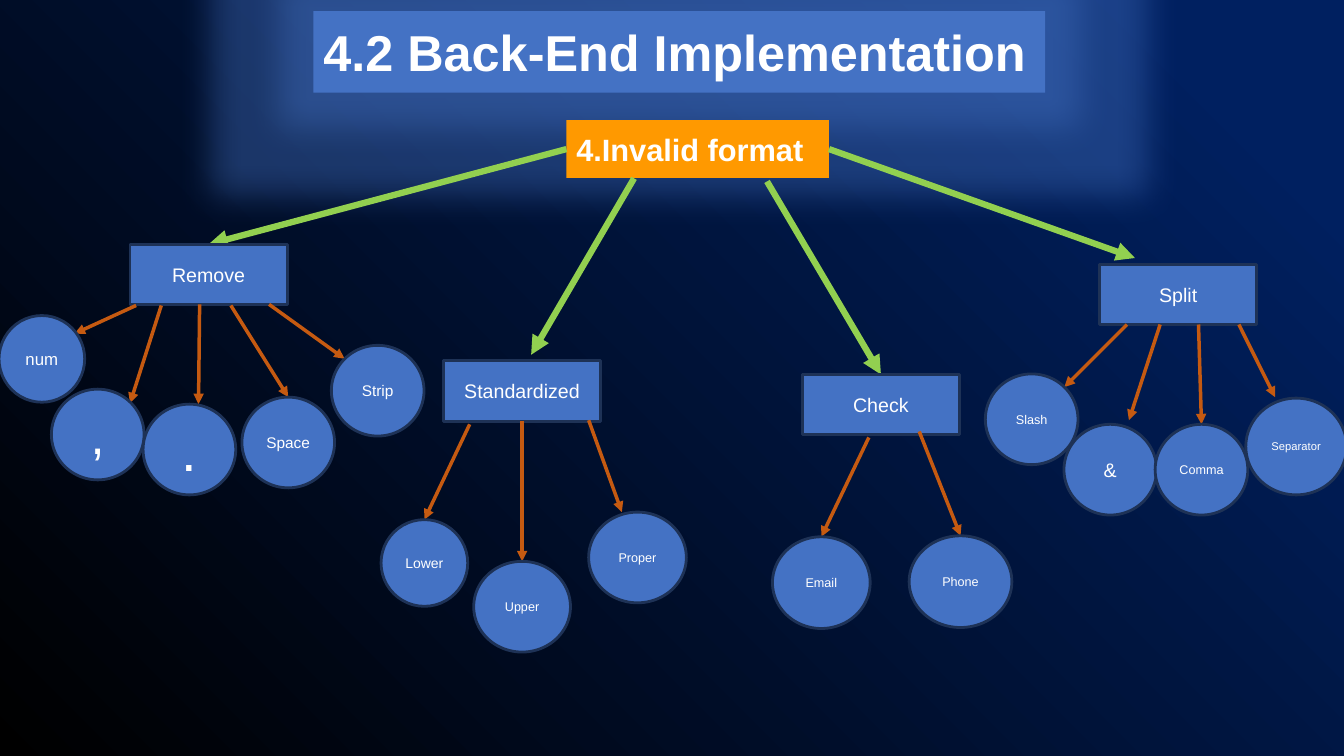
"""Build the back-end implementation slide: a tree of invalid-format fixes."""
from dataclasses import dataclass

from lxml import etree
from pptx import Presentation
from pptx.dml.color import RGBColor
from pptx.enum import shapes, text
from pptx.oxml import ns, parse_xml
from pptx.util import Pt

BLACK = RGBColor(0x00, 0x00, 0x00)
NAVY = RGBColor(0x00, 0x20, 0x60)
BLUE = RGBColor(0x44, 0x72, 0xC4)
OUTLINE = RGBColor(0x1E, 0x32, 0x56)
ORANGE = RGBColor(0xFF, 0x99, 0x00)
GREEN = RGBColor(0x92, 0xD0, 0x50)
RUST = RGBColor(0xC5, 0x5A, 0x11)
WHITE = RGBColor(0xFF, 0xFF, 0xFF)

FONT = "Arial"
INSET = 7.2
TOPIC_SIZE = (112.3, 43.2)
CIRCLE_SIZE = (66.2, 64.8)
SNAP = 1.5
RECTANGLE = shapes.MSO_SHAPE.RECTANGLE
OVAL = shapes.MSO_SHAPE.OVAL


@dataclass
class Caption:
    label: str
    left: float
    top: float
    width: float
    height: float
    font_size: float
    fill: RGBColor


@dataclass
class Node:
    label: str
    left: float
    top: float
    font_size: float
    start: tuple[float, float]
    end: tuple[float, float]
    size: tuple[float, float] = CIRCLE_SIZE
    children: tuple["Node", ...] = ()


TITLE = Caption("4.2 Back-End Implementation", 223.9, 7.9, 522.7, 58.3, 36, BLUE)
ROOT = Caption("4.Invalid format", 404.6, 85.9, 187.6, 41.2, 22, ORANGE)

TOPICS = (
    Node("Remove", 92.9, 174.5, 14, (404.6, 106.5), (149, 174.5), TOPIC_SIZE, (
        Node(",", 36.7, 278, 36, (115.2, 218.2), (92.9, 288)),
        Node(".", 102.2, 288.7, 40, (142.6, 217.4), (141.8, 288.7)),
        Node("Space", 172.8, 283.7, 11, (164.9, 218.2), (205.9, 283.7)),
        Node("Strip", 236.7, 246.7, 11, (192.2, 217.4), (246.2, 256.3)),
        Node("num", -0.7, 225.4, 12, (97.2, 218.2), (53.3, 238.3), (61.2, 61.9)),
    )),
    Node("Standardized", 316.8, 257.8, 14, (452.9, 127.4), (379.4, 253.4), TOPIC_SIZE, (
        Node("Lower", 272.2, 371.2, 10, (335.5, 303.1), (303.1, 371.2), (61.9, 61.9)),
        Node("Upper", 338.4, 401, 9, (373, 301), (373, 401), (69.1, 64.8)),
        Node("Proper", 420.5, 365.8, 9, (420.5, 300.2), (444.2, 365.8), (69.8, 64.8)),
    )),
    Node("Check", 573.1, 267.5, 14, (547.9, 129.6), (629.3, 267.5), TOPIC_SIZE, (
        Node("Email", 551.8, 383.4, 9, (620.6, 312.5), (586.8, 383.4), (69.8, 65.5)),
        Node("Phone", 649.4, 382.7, 9, (656.6, 308.2), (686, 382.7), (73.4, 65.5)),
    )),
    Node("Split", 785.5, 188.9, 14, (592.2, 106.5), (810.7, 184.3), TOPIC_SIZE, (
        Node("Slash", 703.8, 267.1, 9, (805, 231.8), (760.3, 276.5)),
        Node("&", 760, 303.1, 14, (828.7, 231.8), (806.4, 300.2)),
        Node("Comma", 825.1, 303.1, 9, (856.1, 231.8), (858.2, 303.1)),
        Node("Separator", 889.9, 284.4, 8, (884.9, 231.8), (910.8, 283.7), (72, 69.1)),
    )),
)


def paint_background(page) -> None:
    """Fill the page with a gradient spreading from its lower left corner."""
    fill = page.background.fill
    fill.gradient()
    for stop, color, position in zip(fill.gradient_stops, (BLACK, NAVY), (0, 0.9)):
        stop.color.rgb = color
        stop.position = position
    linear = page.element.find(".//" + ns.qn("a:lin"))
    linear.getparent().replace(linear, parse_xml(
        f'<a:path {ns.nsdecls("a")} path="circle">'
        '<a:fillToRect t="100000" r="100000"/></a:path>'))


def add_label(shape, label: str, font_size: float) -> None:
    """Write one white line of text into a shape."""
    para = shape.text_frame.paragraphs[0]
    para.text = label
    font = para.runs[0].font
    font.name = FONT
    font.size = Pt(font_size)
    font.color.rgb = WHITE


def draw_caption(page, caption: Caption):
    """Draw a filled box with a bold, left-aligned caption."""
    box = page.shapes.add_shape(RECTANGLE, Pt(caption.left), Pt(caption.top),
                                Pt(caption.width), Pt(caption.height))
    box.shadow.inherit = False
    box.fill.solid()
    box.fill.fore_color.rgb = caption.fill
    box.line.fill.background()
    add_label(box, caption.label, caption.font_size)
    frame = box.text_frame
    frame.margin_left = frame.margin_right = Pt(INSET)
    frame.margin_top = frame.margin_bottom = Pt(INSET)
    frame.word_wrap = True
    frame.auto_size = text.MSO_AUTO_SIZE.SHAPE_TO_FIT_TEXT
    frame.vertical_anchor = text.MSO_ANCHOR.TOP
    frame.paragraphs[0].alignment = text.PP_ALIGN.LEFT
    frame.paragraphs[0].runs[0].font.bold = True
    return box


def add_glow(box, radius: float) -> None:
    """Surround a box with a translucent blue glow."""
    effects = box.element.spPr.find(ns.qn("a:effectLst"))
    effects.append(parse_xml(
        f'<a:glow {ns.nsdecls("a")} rad="{Pt(radius)}"><a:srgbClr val="{BLUE}">'
        '<a:alpha val="40000"/></a:srgbClr></a:glow>'))


def draw_arrow(page, node: Node, color: RGBColor, width: float):
    """Draw the arrow that leads to a node."""
    arrow = page.shapes.add_connector(shapes.MSO_CONNECTOR.STRAIGHT,
                                      *map(Pt, node.start + node.end))
    arrow.line.color.rgb = color
    arrow.line.width = Pt(width)
    line = arrow.line._get_or_add_ln()
    etree.SubElement(line, ns.qn("a:tailEnd"), type="triangle")
    etree.SubElement(arrow.element.spPr, ns.qn("a:effectLst"))
    return arrow


def side_at(shape, point: tuple[float, float]) -> int | None:
    """Return the connection site of a shape that lies at a point."""
    center = shape.left + shape.width / 2
    middle = shape.top + shape.height / 2
    sites = ((center, shape.top), (shape.left, middle),
             (center, shape.top + shape.height), (shape.left + shape.width, middle))
    for index, (x, y) in enumerate(sites):
        if max(abs(x - Pt(point[0])), abs(y - Pt(point[1]))) <= Pt(SNAP):
            return index
    return None


def draw_node(page, parent, node: Node) -> None:
    """Draw a node with its arrow, then everything below it."""
    is_topic = bool(node.children)
    arrow = draw_arrow(page, node, *((GREEN, 4.5) if is_topic else (RUST, 2.5)))
    shape = page.shapes.add_shape(RECTANGLE if is_topic else OVAL,
                                  Pt(node.left), Pt(node.top), *map(Pt, node.size))
    shape.shadow.inherit = False
    shape.fill.solid()
    shape.fill.fore_color.rgb = BLUE
    shape.line.color.rgb = OUTLINE
    shape.line.width = Pt(2)
    add_label(shape, node.label, node.font_size)
    shape.text_frame.word_wrap = False
    shape.text_frame.vertical_anchor = text.MSO_ANCHOR.MIDDLE
    shape.text_frame.paragraphs[0].alignment = text.PP_ALIGN.CENTER
    start_side, end_side = side_at(parent, node.start), side_at(shape, node.end)
    if start_side is not None:
        arrow.begin_connect(parent, start_side)
    if end_side is not None:
        arrow.end_connect(shape, end_side)
    for child in node.children:
        draw_node(page, shape, child)


def main() -> None:
    """Create the deck and save it."""
    deck = Presentation()
    deck.slide_width, deck.slide_height = Pt(960), Pt(540)
    page = deck.slides.add_slide(deck.slide_layouts[6])
    paint_background(page)
    add_glow(draw_caption(page, TITLE), 49)
    root = draw_caption(page, ROOT)
    for topic in TOPICS:
        draw_node(page, root, topic)
    deck.save("out.pptx")


if __name__ == "__main__":
    main()
